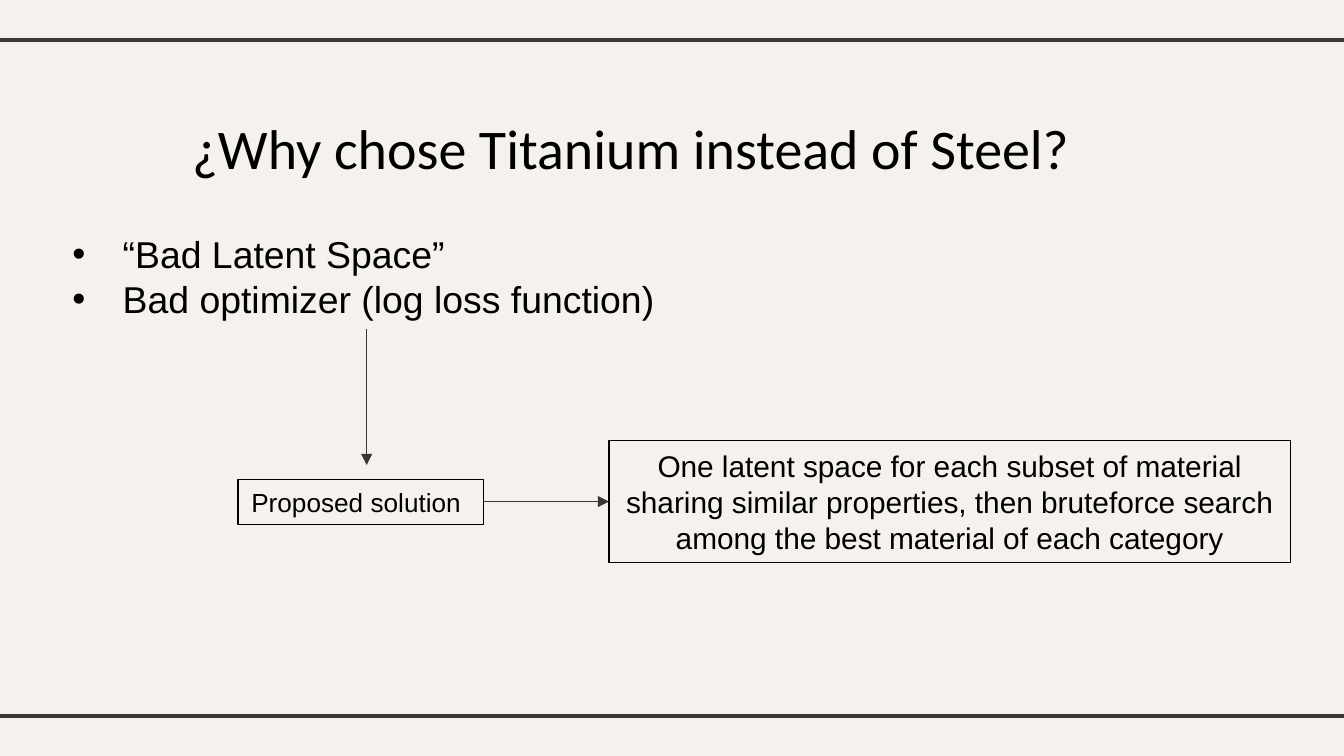
from dataclasses import dataclass

from lxml.etree import SubElement
from pptx import Presentation
from pptx.dml.color import RGBColor
from pptx.enum.shapes import MSO_CONNECTOR as Connector, MSO_SHAPE as Shape
from pptx.enum.text import MSO_ANCHOR as Anchor, MSO_AUTO_SIZE as AutoSize, PP_ALIGN as Align
from pptx.oxml.ns import qn
from pptx.util import Cm, Pt

BLACK, PAPER, RULE, ARROW = "000000", "F5F2EE", "3F3533", "3E3432"
WIDTH, HEIGHT = 25.4, 14.29


@dataclass
class Block:
    """Text block, lengths in cm."""
    left: float
    top: float
    width: float
    height: float
    lines: list[str]
    size: int
    font: str = "Arial"
    align: Align = Align.LEFT
    anchor: Anchor = Anchor.MIDDLE
    inset: float = 0.13
    bullets: bool = False


@dataclass
class Line:
    """Straight line, lengths in cm."""
    start: tuple[float, float]
    end: tuple[float, float]
    color: str
    weight: float
    arrow: bool = False


def color(value: str) -> RGBColor:
    return RGBColor.from_string(value)


def add_bullet(para, indent: float) -> None:
    props = para._p.get_or_add_pPr()
    props.set("marL", str(Cm(indent)))
    props.set("indent", str(-Cm(indent)))
    tint = SubElement(props, qn("a:buClr"))
    SubElement(tint, qn("a:srgbClr"), val=BLACK)
    SubElement(props, qn("a:buFont"), typeface="Arial")
    SubElement(props, qn("a:buChar"), char="•")


def fill_block(box, block: Block) -> None:
    """Place a shape and write the block's text into it."""
    for name in ("left", "top", "width", "height"):
        setattr(box, name, Cm(getattr(block, name)))
    frame = box.text_frame
    settings = {
        "word_wrap": True, "auto_size": AutoSize.NONE, "vertical_anchor": block.anchor,
        "margin_left": Cm(0.25), "margin_right": Cm(0.25),
        "margin_top": Cm(block.inset), "margin_bottom": Cm(block.inset),
    }
    for name, value in settings.items():
        setattr(frame, name, value)
    for number, text in enumerate(block.lines):
        para = frame.add_paragraph() if number else frame.paragraphs[0]
        para.alignment = block.align
        if block.bullets:
            add_bullet(para, 0.95)
        span = para.add_run()
        span.text = text
        for name, value in {"name": block.font, "size": Pt(block.size)}.items():
            setattr(span.font, name, value)
        span.font.color.rgb = color(BLACK)


def add_outlined_box(page, block: Block) -> None:
    box = page.shapes.add_shape(Shape.RECTANGLE, 0, 0, 0, 0)
    box.shadow.inherit = False
    box.fill.background()
    box.line.color.rgb = color(BLACK)
    box.line.width = Pt(0.75)
    fill_block(box, block)


def add_line(page, line: Line) -> None:
    ends = [Cm(value) for value in (*line.start, *line.end)]
    connector = page.shapes.add_connector(Connector.STRAIGHT, *ends)
    connector.line.color.rgb = color(line.color)
    connector.line.width = Pt(line.weight)
    if line.arrow:
        SubElement(connector.line._get_or_add_ln(), qn("a:tailEnd"), type="triangle")
    SubElement(connector._element.spPr, qn("a:effectLst"))


TITLE = Block(3.38, 1.75, 18.64, 2.06, ["¿Why chose Titanium instead of Steel?"],
              30, font="Calibri", inset=0.25)
REASONS = Block(1.12, 4.24, 11.61, 1.96,
                ["“Bad Latent Space”", "Bad optimizer (log loss function)"],
                20, anchor=Anchor.TOP, bullets=True)
BOXES = [
    Block(4.5, 9.06, 4.64, 0.86, ["Proposed solution"], 14),
    Block(11.51, 8.33, 12.88, 2.31,
          ["One latent space for each subset of material sharing similar properties, "
           "then bruteforce search among the best material of each category"],
          16, align=Align.CENTER),
]
RULES = [Line((-0.2, y), (WIDTH + 0.2, y), RULE, 2.25) for y in (0.76, 13.54)]
ARROWS = [
    Line((6.93, 6.22), (6.93, 8.79), ARROW, 0.75, arrow=True),
    Line((9.14, 9.48), (11.51, 9.48), ARROW, 0.75, arrow=True),
]


def main() -> None:
    deck = Presentation()
    deck.slide_width, deck.slide_height = Cm(WIDTH), Cm(HEIGHT)
    page = deck.slides.add_slide(deck.slide_layouts[5])
    page.background.fill.solid()
    page.background.fill.fore_color.rgb = color(PAPER)

    # Rules at top and bottom
    for rule in RULES:
        add_line(page, rule)

    # Title and reasons
    fill_block(page.shapes.title, TITLE)
    fill_block(page.shapes.add_textbox(0, 0, 0, 0), REASONS)

    # Flow to the proposed solution
    for block in BOXES:
        add_outlined_box(page, block)
    for arrow in ARROWS:
        add_line(page, arrow)

    deck.save("out.pptx")


if __name__ == "__main__":
    main()
